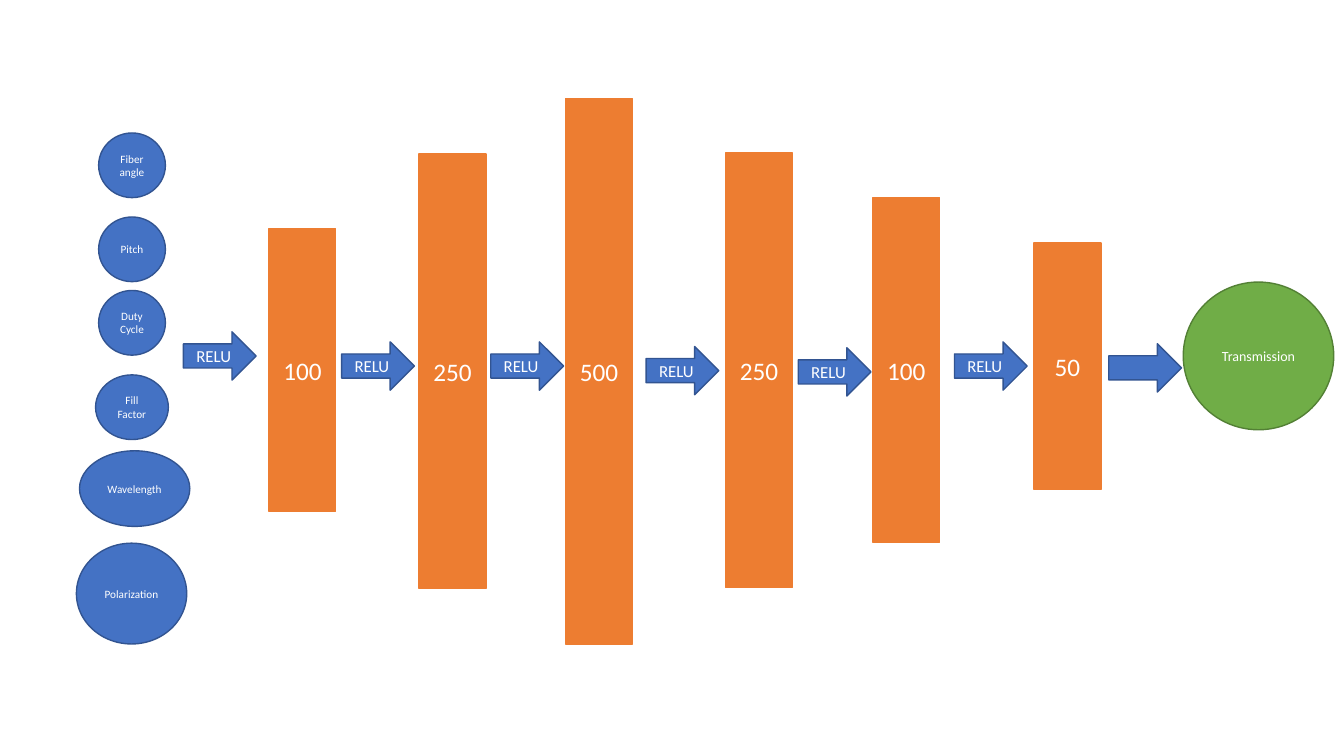
from pptx import Presentation
from pptx.dml.color import RGBColor
from pptx.enum import shapes, text
from pptx.util import Pt

BLUE = RGBColor(0x44, 0x72, 0xC4)
NAVY = RGBColor(0x32, 0x54, 0x91)
ORANGE = RGBColor(0xED, 0x7D, 0x31)
GREEN = RGBColor(0x70, 0xAD, 0x47)
MOSS = RGBColor(0x53, 0x80, 0x35)
WHITE = RGBColor(0xFF, 0xFF, 0xFF)
FONT = "Calibri"

# label, centre x, top, width, height
INPUTS = [
    ("Fiber angle", 94.3, 95, 47.7, 46.2),
    ("Pitch", 94.3, 155, 47.7, 46.2),
    ("Duty Cycle", 94.3, 207.5, 47.7, 46.2),
    ("Fill Factor", 94.3, 267.8, 52, 46.2),
    ("Wavelength", 96.2, 322, 78.8, 54),
    ("Polarization", 94, 388, 78.8, 72),
]
# units, centre x, centre y, height
LAYERS = [
    ("100", 216, 264.3, 202),
    ("250", 323.2, 265.2, 310.5),
    ("500", 427.8, 265.2, 389.5),
    ("250", 542.2, 264.5, 310.5),
    ("100", 647.3, 264.3, 246.5),
    ("50", 762.5, 261.5, 176),
]
# label, left, top
ARROWS = [
    ("RELU", 131, 237),
    ("RELU", 244, 244.2),
    ("RELU", 350.6, 244.2),
    ("RELU", 461.5, 247.5),
    ("RELU", 570.2, 248.4),
    ("RELU", 681.8, 244.2),
    ("", 792, 245.5),
]
OUTPUT = ("Transmission", 845.2, 201.5, 107.5, 105.5)
BAR_W = 47.7
ARROW_W, ARROW_H = 52, 34.5

KIND = shapes.MSO_SHAPE
deck = Presentation()
deck.slide_width, deck.slide_height = Pt(960), Pt(540)
slide = deck.slides.add_slide(deck.slide_layouts[6])


def draw(kind, label, left, top, width, height, fill, edge, size):
    node = slide.shapes.add_shape(kind, Pt(left), Pt(top), Pt(width), Pt(height))
    node.shadow.inherit = False
    node.fill.solid()
    node.fill.fore_color.rgb = fill
    node.line.color.rgb = edge
    node.line.width = Pt(1)
    if label:
        frame = node.text_frame
        frame.word_wrap = True
        frame.vertical_anchor = text.MSO_ANCHOR.MIDDLE
        para = frame.paragraphs[0]
        para.alignment = text.PP_ALIGN.CENTER
        run = para.add_run()
        run.text = label
        run.font.name = FONT
        run.font.size = Pt(size)
        run.font.color.rgb = WHITE


for label, mid, top, width, height in INPUTS:
    draw(KIND.OVAL, label, mid - width / 2, top, width, height, BLUE, NAVY, 8)
for label, mid, level, height in LAYERS:
    draw(KIND.RECTANGLE, label, mid - BAR_W / 2, level - height / 2,
         BAR_W, height, ORANGE, ORANGE, 18)
draw(KIND.OVAL, *OUTPUT, GREEN, MOSS, 10)
for label, left, top in ARROWS:
    draw(KIND.RIGHT_ARROW, label, left, top, ARROW_W, ARROW_H, BLUE, NAVY, 12)

deck.save("out.pptx")
